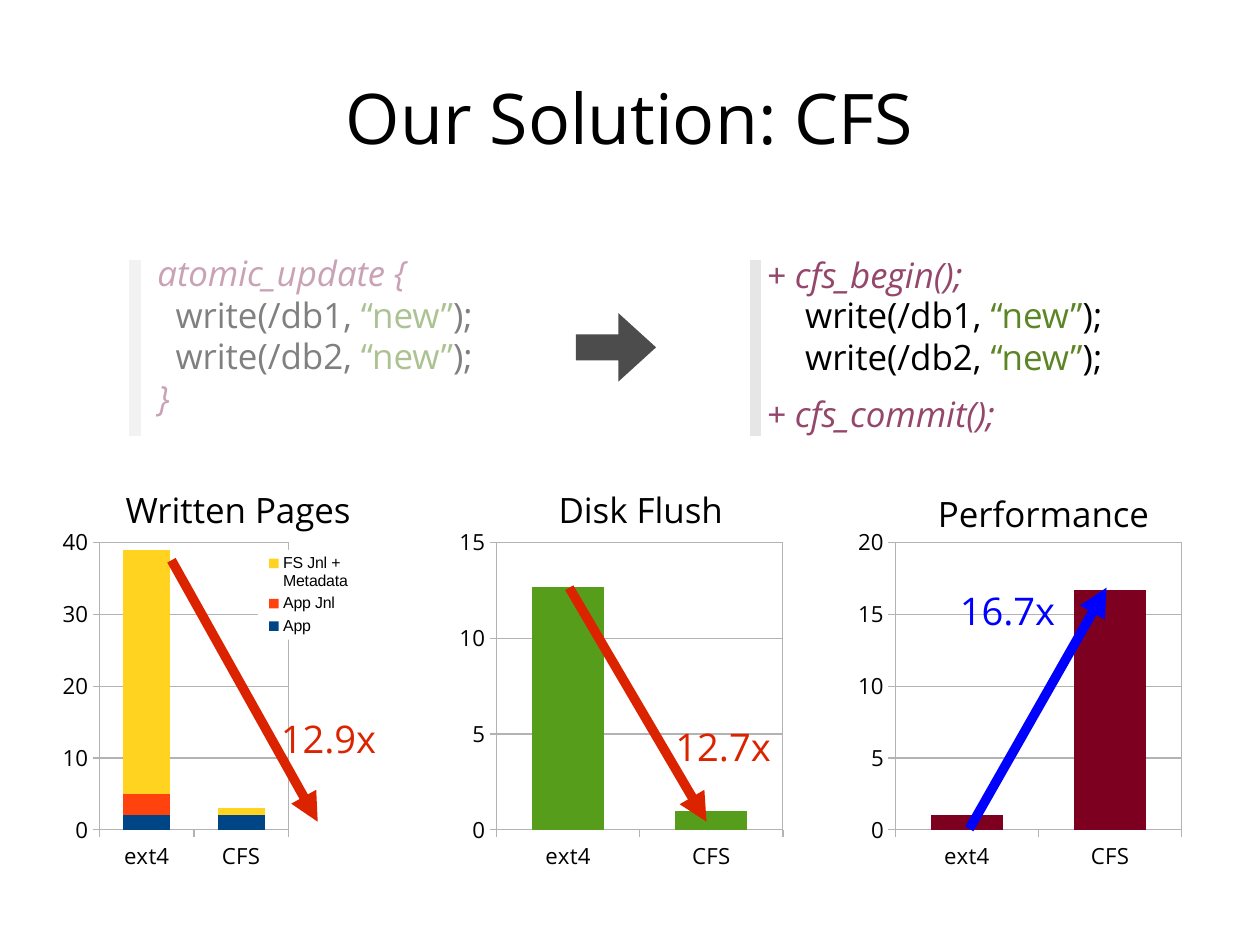
from pptx import Presentation
from pptx.chart.data import CategoryChartData
from pptx.dml.color import RGBColor
from pptx.enum.chart import XL_CHART_TYPE, XL_LEGEND_POSITION, XL_TICK_MARK
from pptx.enum.shapes import MSO_CONNECTOR, MSO_SHAPE
from pptx.enum.text import MSO_ANCHOR, PP_ALIGN
from pptx.oxml import parse_xml
from pptx.oxml.ns import nsdecls, qn
from pptx.util import Cm, Pt
from lxml.etree import SubElement

COLORS = {
    "black": "000000", "white": "FFFFFF", "plum": "94476B", "olive": "5C8526",
    "bar": "E6E6E6", "dark": "4C4C4C", "grid": "B3B3B3", "navy": "004586",
    "orange": "FF420E", "yellow": "FFD320", "green": "579D1C",
    "maroon": "7E0021", "red": "DC2300", "blue": "0000FF",
}
RGB = {name: RGBColor.from_string(value) for name, value in COLORS.items()}
LAYOUT = ('<c:layout %s><c:manualLayout>{target}<c:xMode val="edge"/><c:yMode val="edge"/>'
          '<c:x val="{x}"/><c:y val="{y}"/><c:w val="{w}"/><c:h val="{h}"/>'
          '</c:manualLayout></c:layout>' % nsdecls("c"))

prs = Presentation()
prs.slide_width, prs.slide_height = Cm(28), Cm(21)
slide = prs.slides.add_slide(prs.slide_layouts[5])
shapes = slide.shapes


def add_text(left, top, width, height, lines, size=22, align=PP_ALIGN.LEFT):
    frame = shapes.add_textbox(Cm(left), Cm(top), Cm(width), Cm(height)).text_frame
    frame.word_wrap = True
    for number, line in enumerate(lines):
        paragraph = frame.paragraphs[0] if number == 0 else frame.add_paragraph()
        paragraph.alignment = align
        for wording, color in line:
            run = paragraph.add_run()
            run.text = wording
            run.font.name = "Open Sans"
            run.font.size = Pt(size)
            run.font.italic = color == "plum"
            run.font.color.rgb = RGB[color]


def add_line(x1, y1, x2, y2, color, width, arrow=False):
    line = shapes.add_connector(MSO_CONNECTOR.STRAIGHT, Cm(x1), Cm(y1), Cm(x2), Cm(y2))
    line.line.color.rgb = RGB[color]
    line.line.width = Pt(width)
    if arrow:
        SubElement(line.line._get_or_add_ln(), qn("a:tailEnd"), type="triangle")
    SubElement(line._element.spPr, qn("a:effectLst"))


title = shapes.title
title.left, title.top, title.width, title.height = Cm(1.4), Cm(0.84), Cm(25.2), Cm(3.5)
heading = title.text_frame
heading.margin_left = heading.margin_right = heading.margin_top = heading.margin_bottom = 0
heading.vertical_anchor = MSO_ANCHOR.MIDDLE
heading.paragraphs[0].alignment = PP_ALIGN.CENTER
title_run = heading.paragraphs[0].add_run()
title_run.text = "Our Solution: CFS"
title_run.font.name = "Open Sans"
title_run.font.size = Pt(44)
title_run.font.color.rgb = RGB["black"]

old_writes, new_writes = [
    [[(f"{indent}write(/{db}, ", "black"), ("“new”", "olive"), (");", "black")]
     for db in ("db1", "db2")]
    for indent in ("  ", "   ")
]
add_text(3.25, 5.46, 7.87, 4.5, [[("atomic_update {", "plum")], *old_writes, [("}", "plum")]])
add_text(17.04, 6.4, 7.87, 2.4, new_writes)
add_text(16.79, 5.51, 5.03, 1.32, [[("+ cfs_begin();", "plum")]])
add_text(16.79, 8.61, 5.79, 1.32, [[("+ cfs_commit();", "plum")]])
for margin_x in (3, 16.79):
    add_line(margin_x, 5.77, margin_x, 9.68, "bar", 7.2)

step = shapes.add_shape(MSO_SHAPE.RIGHT_ARROW, Cm(12.8), Cm(6.96), Cm(1.78), Cm(1.52))
step.adjustments[0], step.adjustments[1] = 0.38, 0.55
veil = shapes.add_shape(MSO_SHAPE.RECTANGLE, Cm(2.03), Cm(5.08), Cm(9.65), Cm(5.33))
for shape, color in ((step, "dark"), (veil, "white")):
    shape.shadow.inherit = False
    shape.fill.solid()
    shape.fill.fore_color.rgb = RGB[color]
    shape.line.fill.background()
veil_color = veil._element.spPr.find(qn("a:solidFill"))[0]
SubElement(veil_color, qn("a:alpha"), val="50000")

written = [("App", (2, 2), "navy"), ("App Jnl", (3, 0), "orange"),
           ("FS Jnl + Metadata", (34, 1), "yellow")]
flushes = [("Series 1", (12.7, 1), "green")]
speed = [("Series 1", (1, 16.7), "maroon")]
panels = [
    (1.24, written, 40, 10, 0.56, "Written Pages", (2.54, 10.74, 6.2), PP_ALIGN.LEFT,
     (3.81, 12.45, 7.06, 18.26), "12.9x", (5.99, 15.77), "red"),
    (10.06, flushes, 15, 5, 0.85, "Disk Flush", (11.89, 10.74, 4.7), PP_ALIGN.CENTER,
     (12.65, 13.06, 15.7, 18.26), "12.7x", (14.76, 15.95), "red"),
    (18.92, speed, 20, 5, 0.85, "Performance", (20.27, 10.82, 5.84), PP_ALIGN.CENTER,
     (21.54, 18.42, 24.59, 13.06), "16.7x", (21.08, 12.93), "blue"),
]
for (left, series_list, top_value, unit, plot_width, caption, caption_at, caption_align,
     trend, ratio, ratio_at, trend_color) in panels:
    data = CategoryChartData()
    data.categories = ["ext4", "CFS"]
    for name, values, color in series_list:
        data.add_series(name, values)
    chart = shapes.add_chart(XL_CHART_TYPE.COLUMN_STACKED, Cm(left), Cm(11.58),
                             Cm(7.49), Cm(7.98), data).chart
    chart.has_title = False
    chart.font.name = "Arial"
    chart.font.size = Pt(10)
    chart.font.color.rgb = RGB["black"]

    plot = chart.plots[0]
    plot.gap_width, plot.overlap, plot.vary_by_categories = 100, 100, False
    for series, (name, values, color) in zip(plot.series, series_list):
        series.format.fill.solid()
        series.format.fill.fore_color.rgb = RGB[color]

    scale = chart.value_axis
    scale.minimum_scale, scale.maximum_scale, scale.major_unit = 0, top_value, unit
    scale.has_major_gridlines = True
    for axis in (chart.category_axis, scale):
        axis.major_tick_mark = XL_TICK_MARK.OUTSIDE
        axis.tick_labels.font.name = "Open Sans"
        axis.tick_labels.font.size = Pt(14)
        axis.tick_labels.font.color.rgb = RGB["black"]
    for stroke in (chart.category_axis.format.line, scale.format.line,
                   scale.major_gridlines.format.line):
        stroke.color.rgb = RGB["grid"]
        stroke.width = Pt(0)

    area = chart._chartSpace.chart.plotArea
    for default_layout in area.findall(qn("c:layout")):
        area.remove(default_layout)
    area.insert(0, parse_xml(LAYOUT.format(
        target='<c:layoutTarget val="inner"/>', x=0.13, y=0.06, w=plot_width, h=0.8)))
    area.append(parse_xml(
        f'<c:spPr {nsdecls("c", "a")}><a:noFill/><a:ln w="0"><a:solidFill>'
        f'<a:srgbClr val="{COLORS["grid"]}"/></a:solidFill></a:ln></c:spPr>'))

    chart.has_legend = len(series_list) > 1
    if chart.has_legend:
        legend = chart.legend
        legend.position = XL_LEGEND_POSITION.RIGHT
        legend.include_in_layout = False
        legend.font.name = "Arial"
        legend.font.size = Pt(10)
        legend.font.color.rgb = RGB["black"]
        overlay = legend._element.find(qn("c:overlay"))
        for default_layout in legend._element.findall(qn("c:layout")):
            legend._element.remove(default_layout)
        overlay.addprevious(parse_xml(LAYOUT.format(target="", x=0.6, y=0.08, w=0.3, h=0.25)))
        overlay.addnext(parse_xml(
            f'<c:spPr {nsdecls("c", "a")}><a:solidFill><a:srgbClr val="{COLORS["white"]}"/>'
            '</a:solidFill><a:ln><a:noFill/></a:ln></c:spPr>'))

    add_text(*caption_at, 1.32, [[(caption, "black")]], align=caption_align)
    add_line(*trend, trend_color, 6, arrow=True)
    add_text(*ratio_at, 3, 1.4, [[(ratio, trend_color)]], size=24)

prs.save("out.pptx")
